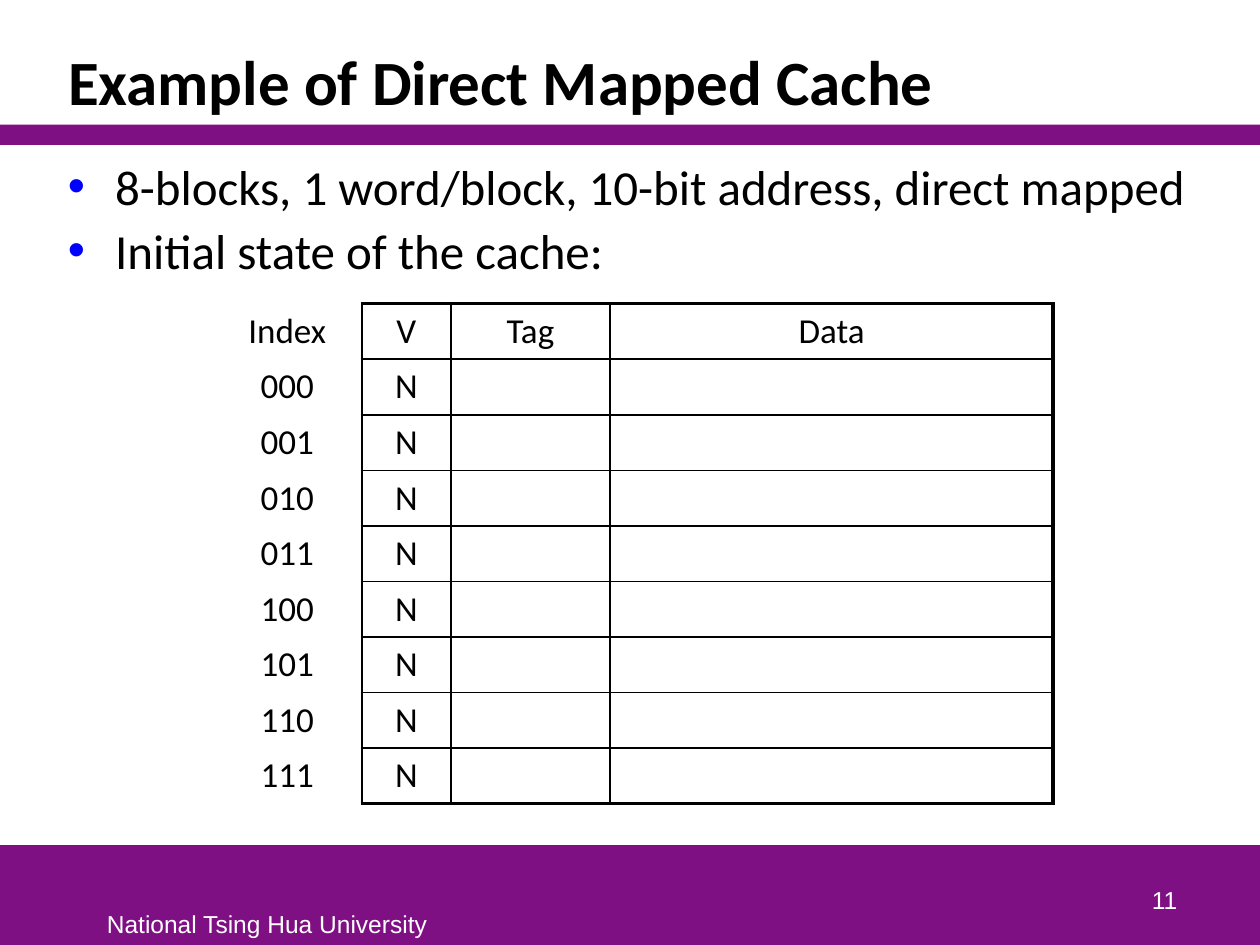
"""Build the slide showing the initial state of a direct mapped cache."""
from lxml.etree import SubElement
from pptx import Presentation
from pptx.dml.color import RGBColor
from pptx.enum.shapes import MSO_SHAPE
from pptx.enum.text import MSO_ANCHOR, PP_ALIGN
from pptx.oxml.ns import qn
from pptx.util import Pt

BLACK = RGBColor(0, 0, 0)
WHITE = RGBColor(255, 255, 255)
PURPLE = RGBColor(0x7F, 0x10, 0x84)
BLUE = RGBColor(0, 0, 255)

TITLE = "Example of Direct Mapped Cache"
BULLETS = [
    "8-blocks, 1 word/block, 10-bit address, direct mapped",
    "Initial state of the cache:",
]
HEADER = ["Index", "V", "Tag", "Data"]
ROWS = [HEADER] + [[f"{index:03b}", "N", "", ""] for index in range(8)]
FOOTER = "National Tsing Hua University"
PAGE_NUMBER = "11"

BANDS = [(483, 57), (71.3, 11.5)]
CONTENT_LEFT, CONTENT_WIDTH = 31.7, 656.7
TABLE_LEFT, TABLE_TOP = 121.7, 173.5
COLUMN_WIDTHS = [85, 51, 90.9, 253.3]
ROW_HEIGHT = 31.75
THIN, MEDIUM, THICK = 1, 1.5, 2.25
VERTICAL_LINES = [0, MEDIUM, THIN, THIN, THICK]
HORIZONTAL_LINES = [THICK, MEDIUM] + [THIN] * (len(ROWS) - 2) + [THICK]


def set_font(paragraph, name, size, color, bold=False):
    font = paragraph.font
    font.name, font.size, font.bold = name, Pt(size), bold
    font.color.rgb = color


def add_text_box(slide, left, top, width, height):
    shape = slide.shapes.add_textbox(Pt(left), Pt(top), Pt(width), Pt(height))
    shape.text_frame.word_wrap = True
    return shape.text_frame


def add_bullet(paragraph, indent):
    properties = paragraph._p.get_or_add_pPr()
    properties.set("marL", str(Pt(indent)))
    properties.set("indent", str(-Pt(indent)))
    color = SubElement(properties, qn("a:buClr"))
    SubElement(color, qn("a:srgbClr"), val=str(BLUE))
    SubElement(properties, qn("a:buFont"), typeface="Arial")
    SubElement(properties, qn("a:buChar"), char="•")


def set_borders(cell, widths):
    properties = cell._tc.get_or_add_tcPr()
    for position, (edge, width) in enumerate(widths.items()):
        line = properties.makeelement(qn(f"a:{edge}"), {"w": str(Pt(width))})
        properties.insert(position, line)
        if width:
            fill = SubElement(line, qn("a:solidFill"))
            SubElement(fill, qn("a:srgbClr"), val=str(BLACK))
        else:
            SubElement(line, qn("a:noFill"))


def add_bands(slide):
    for top, height in BANDS:
        band = slide.shapes.add_shape(
            MSO_SHAPE.RECTANGLE, 0, Pt(top), Pt(720), Pt(height))
        band.shadow.inherit = False
        band.fill.solid()
        band.fill.fore_color.rgb = PURPLE
        band.line.fill.background()


def add_title(slide):
    title = slide.shapes.title
    title.left, title.top = Pt(CONTENT_LEFT), Pt(18)
    title.width, title.height = Pt(CONTENT_WIDTH), Pt(53.3)
    title.text_frame.text = TITLE
    title.text_frame.vertical_anchor = MSO_ANCHOR.BOTTOM
    paragraph = title.text_frame.paragraphs[0]
    paragraph.alignment = PP_ALIGN.LEFT
    paragraph.line_spacing = 0.85
    set_font(paragraph, "Calibri", 36, BLACK, bold=True)


def add_bullets(slide):
    frame = add_text_box(slide, CONTENT_LEFT, 82.8, CONTENT_WIDTH, 398)
    frame.margin_top = Pt(6.6)
    frame.text = "\n".join(BULLETS)
    for number, paragraph in enumerate(frame.paragraphs):
        if number:
            paragraph.space_before = Pt(3)
        add_bullet(paragraph, 27)
        set_font(paragraph, "Calibri", 28, BLACK)


def add_cache_table(slide):
    table = slide.shapes.add_table(
        len(ROWS), len(HEADER), Pt(TABLE_LEFT), Pt(TABLE_TOP),
        Pt(sum(COLUMN_WIDTHS)), Pt(ROW_HEIGHT * len(ROWS))).table
    table.first_row = table.horz_banding = False
    for column, width in zip(table.columns, COLUMN_WIDTHS):
        column.width = Pt(width)
    for row, values in enumerate(ROWS):
        table.rows[row].height = Pt(ROW_HEIGHT)
        for column, value in enumerate(values):
            cell = table.cell(row, column)
            cell.text = value
            cell.fill.background()
            paragraph = cell.text_frame.paragraphs[0]
            paragraph.alignment = PP_ALIGN.CENTER
            set_font(paragraph, "Calibri", 20, BLACK)
            boxed = column > 0
            set_borders(cell, {
                "lnL": VERTICAL_LINES[column],
                "lnR": VERTICAL_LINES[column + 1],
                "lnT": HORIZONTAL_LINES[row] if boxed else 0,
                "lnB": HORIZONTAL_LINES[row + 1] if boxed else 0,
            })


def add_footer(slide):
    footer = add_text_box(slide, 54, 516.2, 198.7, 23.8)
    footer.word_wrap = False
    footer.text = FOOTER
    number = add_text_box(slide, 530, 490.3, 149.8, 36)
    number.vertical_anchor = MSO_ANCHOR.BOTTOM
    number.text = PAGE_NUMBER
    number.paragraphs[0].alignment = PP_ALIGN.RIGHT
    for frame in (footer, number):
        set_font(frame.paragraphs[0], "Arial", 14, WHITE)


def main():
    presentation = Presentation()
    presentation.slide_width, presentation.slide_height = Pt(720), Pt(540)
    slide = presentation.slides.add_slide(presentation.slide_layouts[5])
    add_bands(slide)
    add_title(slide)
    add_bullets(slide)
    add_cache_table(slide)
    add_footer(slide)
    presentation.save("out.pptx")


if __name__ == "__main__":
    main()
